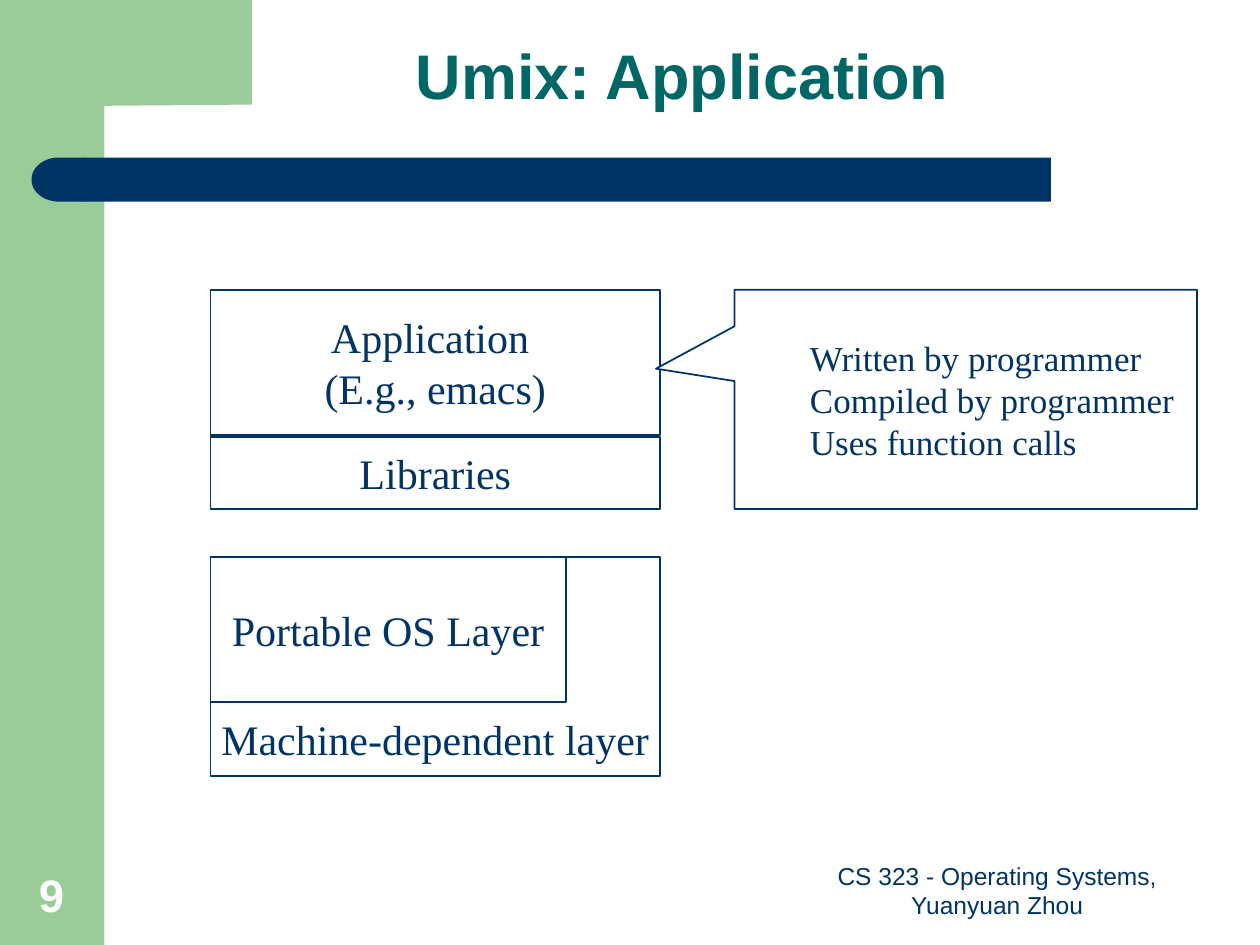
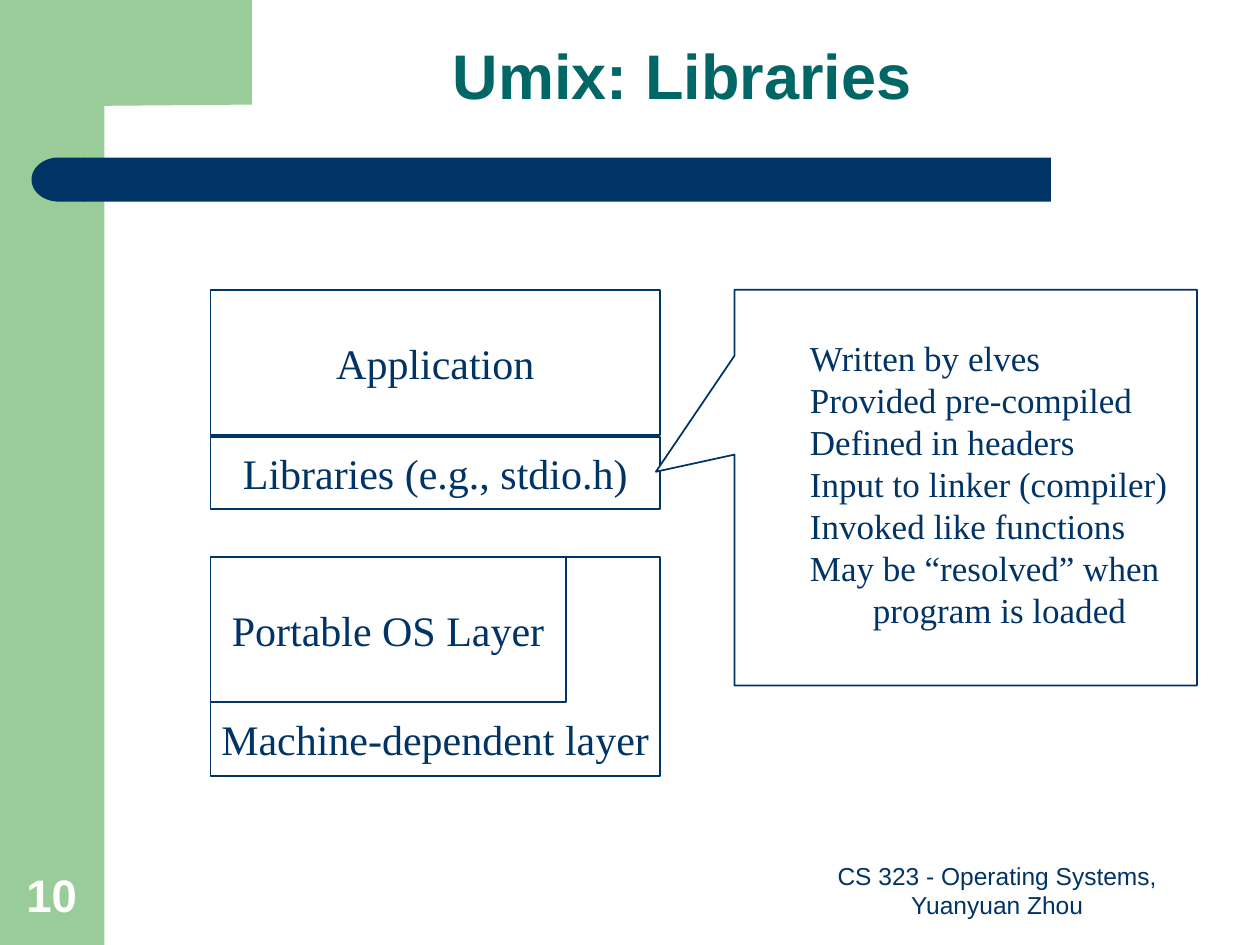
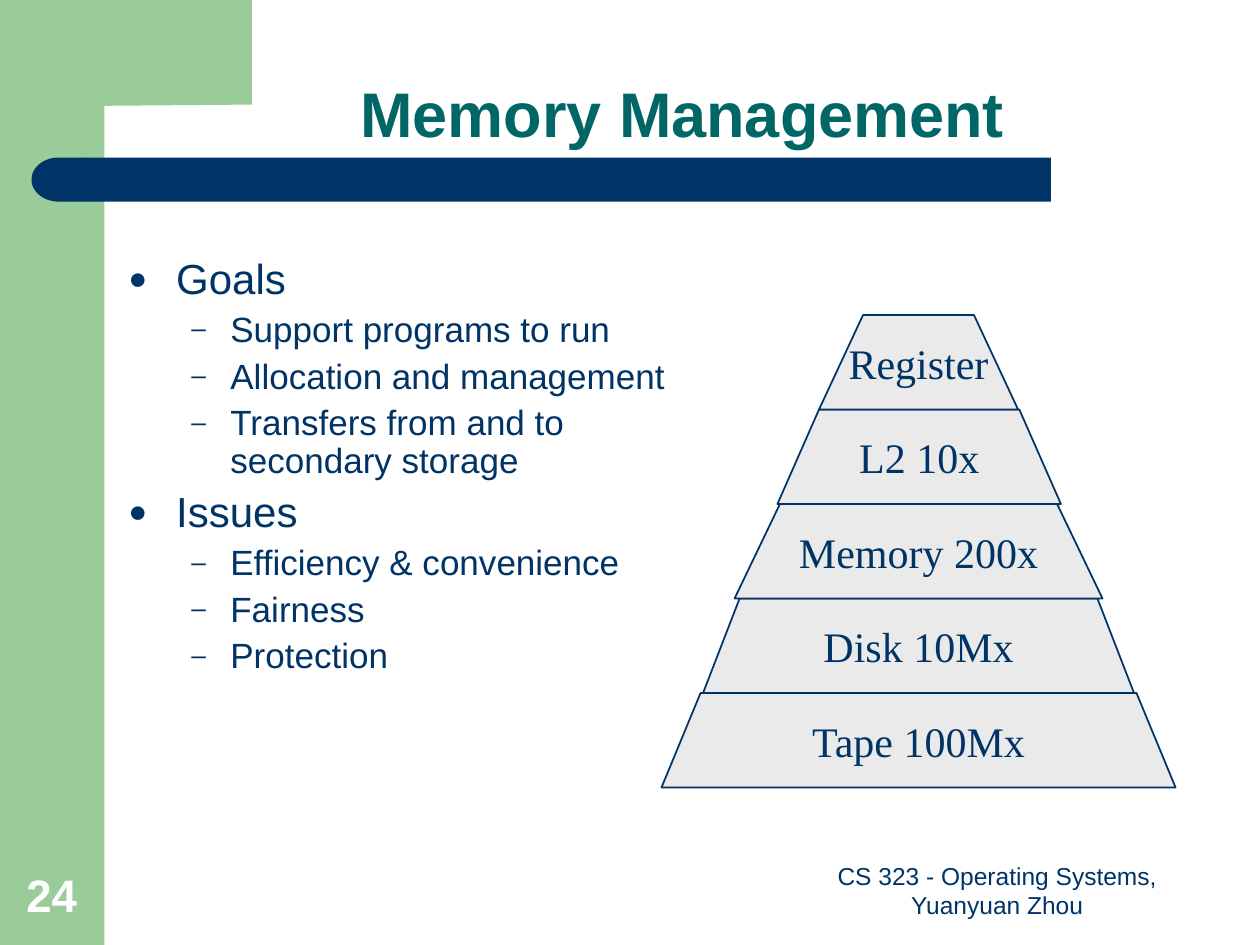
import pptx
import pptx.util
import pptx.dml.color
import pptx.enum.shapes
import pptx.enum.text
import pptx.oxml
import pptx.oxml.ns

Inches, Pt = pptx.util.Inches, pptx.util.Pt
SHAPE = pptx.enum.shapes.MSO_SHAPE
ALIGN = pptx.enum.text.PP_ALIGN
ANCHOR = pptx.enum.text.MSO_ANCHOR

COLORS = {"navy": "003366", "teal": "006666", "green": "99CC99",
          "gray": "EAEAEA", "white": "FFFFFF"}
SANS, SERIF = "Arial", "Times New Roman"
FOOTER = "CS 323 - Operating Systems, Yuanyuan Zhou"

# Outline of the corner block, with a rounded inner notch
CORNER = [(2, 0), (2, 0.83), (0.83, 0.84), (0.81, 0.83), (0.77, 0.85),
          (0.71, 0.92), (0.68, 1.04), (0.67, 1.16), (0.67, 1.28),
          (0.5, 1.28), (0.5, 0)]

STACK_LEFT, STACK_WIDTH = 1.67, 3.57
CALLOUT_LEFT, CALLOUT_WIDTH = 5.83, 3.67

# Bullet levels: character, size, left margin, hanging indent, space before
LEVELS = [("●", 24, 0.38, -0.38, 6), ("–", 20, 0.81, -0.31, 5)]
GOALS = [(0, "Goals"), (1, "Support programs to run"),
         (1, "Allocation and management"),
         (1, "Transfers from and to secondary storage"),
         (0, "Issues"), (1, "Efficiency & convenience"),
         (1, "Fairness"), (1, "Protection")]

# Pyramid tiers from top to bottom: label, left, width, inset of the top edge
TIERS = [("Register", 6.5, 1.58, 0.35), ("L2 10x", 6.17, 2.25, 0.33),
         ("Memory 200x", 5.83, 2.92, 0.36), ("Disk 10Mx", 5.58, 3.42, 0.29),
         ("Tape 100Mx", 5.25, 4.08, 0.31)]
TIER_TOP, TIER_HEIGHT = 2.5, 0.75


def rgb(name):
    return pptx.dml.color.RGBColor.from_string(COLORS[name])


def set_margins(p, left, indent):
    pPr = p._p.get_or_add_pPr()
    pPr.set("marL", str(Inches(left)))
    pPr.set("indent", str(Inches(indent)))
    return pPr


def write(sp, text, size=24, font=SERIF, color="navy", bold=False,
          align=ALIGN.CENTER, anchor=ANCHOR.MIDDLE, wrap=True, spacing=None,
          top=0.05, bottom=0.05):
    """Fill a shape with one paragraph per line of text."""
    tf = sp.text_frame
    tf.word_wrap, tf.vertical_anchor = wrap, anchor
    tf.margin_left = tf.margin_right = Inches(0.1)
    tf.margin_top, tf.margin_bottom = Inches(top), Inches(bottom)
    tf.text = text
    for p in tf.paragraphs:
        p.alignment = align
        if spacing:
            p.line_spacing = spacing
        for r in p.runs:
            r.font.size, r.font.name, r.font.bold = Pt(size), font, bold
            r.font.color.rgb = rgb(color)
    return tf


def paint(sp, fill=None, line=None):
    sp.shadow.inherit = False
    if fill:
        sp.fill.solid()
        sp.fill.fore_color.rgb = rgb(fill)
    else:
        sp.fill.background()
    if line:
        sp.line.color.rgb = rgb(line)
        sp.line.width = Pt(1)
    else:
        sp.line.fill.background()
    return sp


def add_shape(s, kind, box, fill=None, line=None):
    return paint(s.shapes.add_shape(kind, *map(Inches, box)), fill, line)


def add_outline(s, points, fill, line=None):
    points = [(Inches(x), Inches(y)) for x, y in points]
    builder = s.shapes.build_freeform(*points[0])
    builder.add_line_segments(points[1:], close=True)
    return paint(builder.convert_to_shape(), fill, line)


def add_text(s, box, text, **fmt):
    return write(s.shapes.add_textbox(*map(Inches, box)), text, **fmt)


def add_slide(prs, title, number, title_anchor=ANCHOR.MIDDLE):
    """Title-only slide with the bands, footer and slide number."""
    s = prs.slides.add_slide(prs.slide_layouts[5])
    add_shape(s, SHAPE.RECTANGLE, (0, 0, 0.83, 7.5), "green")
    add_outline(s, CORNER, "green")
    add_shape(s, SHAPE.RECTANGLE, (0.67, 1.25, 7.67, 0.35), "navy")
    cap = add_shape(s, SHAPE.FLOWCHART_DELAY, (0.25, 1.25, 0.43, 0.35), "navy")
    cap.rotation = 180

    sp = s.shapes.title
    sp.left, sp.top, sp.width, sp.height = map(Inches, (1.08, 0, 8.67, 1.25))
    write(sp, title, size=36, font=SANS, color="teal", bold=True,
          anchor=title_anchor, spacing=0.9)
    add_text(s, (6.33, 6.83, 3.17, 0.52), FOOTER, size=14, font=SANS,
             anchor=ANCHOR.BOTTOM)
    add_text(s, (0.09, 6.83, 0.64, 0.53), str(number), size=26, font=SANS,
             color="white", bold=True, anchor=ANCHOR.BOTTOM)
    return s


def add_layers(s, application, libraries):
    """Stack of Umix layers: user level above, system level below."""
    layers = [(application, 2.3, STACK_WIDTH, 1.15, {}),
              ("Portable OS Layer", 4.42, 2.82, 1.15, {}),
              (libraries, 3.47, STACK_WIDTH, 0.57, {}),
              ("Machine-dependent layer", 4.42, STACK_WIDTH, 1.74,
               {"anchor": ANCHOR.BOTTOM, "bottom": 0.1})]
    for text, top, width, height, fmt in layers:
        sp = add_shape(s, SHAPE.RECTANGLE, (STACK_LEFT, top, width, height),
                       line="navy")
        write(sp, text, wrap=False, **fmt)


def add_callout(s, height, tip, lines):
    sp = add_shape(s, SHAPE.RECTANGULAR_CALLOUT,
                   (CALLOUT_LEFT, 2.3, CALLOUT_WIDTH, height), "white", "navy")
    sp.adjustments[0], sp.adjustments[1] = -0.67, tip
    tf = write(sp, "\n".join(lines), size=20, align=ALIGN.LEFT,
               anchor=ANCHOR.TOP, top=0.37)
    for p in tf.paragraphs:
        set_margins(p, 1, -0.5)


def add_bullets(s, box, items):
    tf = add_text(s, box, "\n".join(text for _, text in items), font=SANS,
                  align=ALIGN.LEFT, anchor=ANCHOR.TOP, spacing=0.9)
    for i, (p, (level, _)) in enumerate(zip(tf.paragraphs, items)):
        char, size, left, indent, before = LEVELS[level]
        p.level = level
        p.runs[0].font.size = Pt(size)
        if i:
            p.space_before = Pt(before)
        pPr = set_margins(p, left, indent)
        ns = pptx.oxml.ns.nsdecls("a")
        for xml in (f'<a:buClr {ns}><a:srgbClr val="{COLORS["navy"]}"/></a:buClr>',
                    f'<a:buSzPct {ns} val="75000"/>',
                    f'<a:buFont {ns} typeface="{SANS}"/>',
                    f'<a:buChar {ns} char="{char}"/>'):
            pPr.append(pptx.oxml.parse_xml(xml))


def add_pyramid(s):
    for i, (label, left, width, inset) in reversed(list(enumerate(TIERS))):
        top = TIER_TOP + i * TIER_HEIGHT
        bottom, right = top + TIER_HEIGHT, left + width
        sp = add_outline(s, [(left, bottom), (right, bottom),
                             (right - inset, top), (left + inset, top)],
                         "gray", "navy")
        write(sp, label, wrap=False)


def main():
    prs = pptx.Presentation()
    prs.slide_width, prs.slide_height = Inches(10), Inches(7.5)

    # Application layer
    s = add_slide(prs, "Umix: Application", 9)
    add_layers(s, "Application \v(E.g., emacs)", "Libraries")
    add_callout(s, 1.74, -0.14, ["Written by programmer",
                                 "Compiled by programmer",
                                 "Uses function calls"])

    # Library layer
    s = add_slide(prs, "Umix: Libraries", 10)
    add_layers(s, "Application", "Libraries (e.g., stdio.h)")
    add_callout(s, 3.14, -0.04, ["Written by elves", "Provided pre-compiled",
                                 "Defined in headers",
                                 "Input to linker (compiler)",
                                 "Invoked like functions",
                                 "May be “resolved” when program is loaded"])

    # Memory hierarchy
    s = add_slide(prs, "Memory Management", 24, ANCHOR.BOTTOM)
    add_bullets(s, (0.92, 2, 4.92, 4.5), GOALS)
    add_pyramid(s)

    prs.save("out.pptx")


if __name__ == "__main__":
    main()
